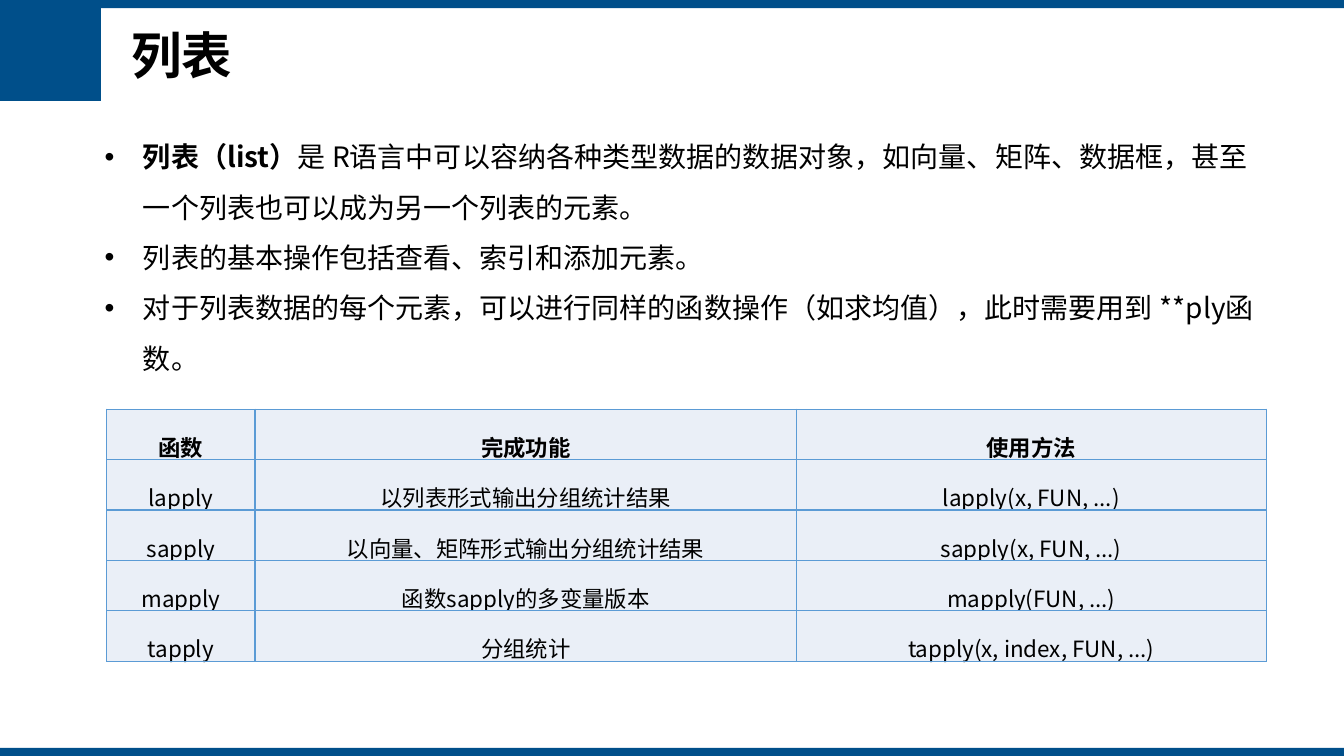
from pptx import Presentation
from pptx.dml.color import RGBColor
from pptx.enum.shapes import MSO_SHAPE
from pptx.enum.text import MSO_ANCHOR, PP_ALIGN
from pptx.oxml.ns import qn
from pptx.util import Inches, Pt
from lxml import etree

RECTANGLE = MSO_SHAPE.RECTANGLE
TOP, MIDDLE = MSO_ANCHOR.TOP, MSO_ANCHOR.MIDDLE
LEFT, CENTER = PP_ALIGN.LEFT, PP_ALIGN.CENTER

NAVY = RGBColor(0x00, 0x4F, 0x8A)
BLACK = RGBColor(0x00, 0x00, 0x00)
PALE_BLUE = RGBColor(0xEA, 0xEF, 0xF7)
BORDER_BLUE = RGBColor(0x5B, 0x9B, 0xD5)
FONT = "Noto Sans CJK SC"

# Slide measures in inches
WIDTH, HEIGHT = 13.33, 7.5
BAND = 0.08
CORNER_WIDTH, CORNER_FOOT, CORNER_HEIGHT = 1.2, 0.67, 1.0
TITLE_BOX = (CORNER_WIDTH, BAND, 11.22, CORNER_HEIGHT)
POINTS_BOX = (0.94, 1.17, 11.73, 3.07)
TABLE_BOX = (1.06, 4.06, 11.5, 2.5)
COLUMN_SHARES = (1.47 / 11.5, 5.37 / 11.5, 4.66 / 11.5)
CELL_MARGINS = {
    "margin_left": Inches(0.07), "margin_right": Inches(0.07),
    "margin_top": Inches(0.05), "margin_bottom": Inches(0.05),
}

# Each point is a bold lead and its plain continuation
POINTS = [
    ("列表（list）", "是 R语言中可以容纳各种类型数据的数据对象，如向量、矩阵、数据框，"
     "甚至一个列表也可以成为另一个列表的元素。"),
    ("", "列表的基本操作包括查看、索引和添加元素。"),
    ("", "对于列表数据的每个元素，可以进行同样的函数操作（如求均值），"
     "此时需要用到 **ply函数。"),
]
FUNCTIONS = [
    ("函数", "完成功能", "使用方法"),
    ("lapply", "以列表形式输出分组统计结果", "lapply(x, FUN, ...)"),
    ("sapply", "以向量、矩阵形式输出分组统计结果", "sapply(x, FUN, ...)"),
    ("mapply", "函数sapply的多变量版本", "mapply(FUN, ...)"),
    ("tapply", "分组统计", "tapply(x, index, FUN, ...)"),
]


def set_all(target, values):
    for name, value in values.items():
        setattr(target, name, value)


def add_run(paragraph, text, size, bold=False):
    run = paragraph.add_run()
    run.text = text
    set_all(run.font, {"name": FONT, "size": Pt(size), "bold": bold})
    run.font.color.rgb = BLACK
    # East Asian typeface
    latin = run.font._element.find(qn("a:latin"))
    east_asian = etree.Element(qn("a:ea"), typeface=FONT)
    latin.addnext(east_asian)


def paint(shape, color):
    shape.shadow.inherit = False
    shape.fill.solid()
    shape.fill.fore_color.rgb = color
    shape.line.fill.background()


def add_frame(slide):
    # Bands along the top and bottom edges
    for top in (0, HEIGHT - BAND):
        band = slide.shapes.add_shape(
            RECTANGLE, 0, Inches(top), Inches(WIDTH), Inches(BAND))
        paint(band, NAVY)
    # Slanted corner beside the title
    bottom = BAND + CORNER_HEIGHT
    outline = slide.shapes.build_freeform(0, BAND, scale=Inches(1))
    outline.add_line_segments(
        [(CORNER_WIDTH, BAND), (CORNER_FOOT, bottom), (0, bottom)], close=True)
    paint(outline.convert_to_shape(), NAVY)


def add_title(slide, box, text):
    title = slide.shapes.title
    left, top, width, height = map(Inches, box)
    set_all(title, {"left": left, "top": top, "width": width, "height": height})
    title.text_frame.vertical_anchor = MIDDLE
    paragraph = title.text_frame.paragraphs[0]
    set_all(paragraph, {"alignment": LEFT, "line_spacing": 0.9})
    add_run(paragraph, text, 36, bold=True)


def add_points(slide, box, points):
    frame = slide.shapes.add_textbox(*map(Inches, box)).text_frame
    frame.word_wrap = True
    for index, (lead, rest) in enumerate(points):
        paragraph = frame.add_paragraph() if index else frame.paragraphs[0]
        paragraph.line_spacing = 1.5
        # Hanging bullet
        properties = paragraph._p.get_or_add_pPr()
        properties.set("marL", str(Inches(0.38)))
        properties.set("indent", str(Inches(-0.38)))
        etree.SubElement(properties, qn("a:buFont"), typeface="Arial")
        etree.SubElement(properties, qn("a:buChar"), char="•")
        if lead:
            add_run(paragraph, lead, 20, bold=True)
        add_run(paragraph, rest, 20)


def add_borders(cell):
    properties = cell._tc.get_or_add_tcPr()
    for position, side in enumerate(("lnL", "lnR", "lnT", "lnB")):
        line = etree.Element(qn(f"a:{side}"), w=str(Pt(1)))
        fill = etree.SubElement(line, qn("a:solidFill"))
        etree.SubElement(fill, qn("a:srgbClr"), val=str(BORDER_BLUE))
        properties.insert(position, line)


def add_function_table(slide, box, rows):
    left, top, width, height = box
    table = slide.shapes.add_table(
        len(rows), len(COLUMN_SHARES), *map(Inches, box)).table
    set_all(table, {"first_row": False, "horz_banding": False})
    for column, share in zip(table.columns, COLUMN_SHARES):
        column.width = Inches(width * share)
    for row in table.rows:
        row.height = Inches(height / len(rows))
    for row_index, row in enumerate(rows):
        header = row_index == 0
        for column_index, text in enumerate(row):
            cell = table.cell(row_index, column_index)
            set_all(cell, CELL_MARGINS)
            cell.vertical_anchor = TOP if header else MIDDLE
            cell.fill.solid()
            cell.fill.fore_color.rgb = PALE_BLUE
            add_borders(cell)
            paragraph = cell.text_frame.paragraphs[0]
            set_all(paragraph, {"alignment": CENTER, "line_spacing": 1.5})
            add_run(paragraph, text, 16, bold=header)


def main():
    presentation = Presentation()
    set_all(presentation, {"slide_width": Inches(WIDTH),
                           "slide_height": Inches(HEIGHT)})
    title_only = presentation.slide_layouts[5]
    slide = presentation.slides.add_slide(title_only)
    add_frame(slide)
    add_title(slide, TITLE_BOX, "列表")
    add_points(slide, POINTS_BOX, POINTS)
    add_function_table(slide, TABLE_BOX, FUNCTIONS)
    presentation.save("out.pptx")


if __name__ == "__main__":
    main()
